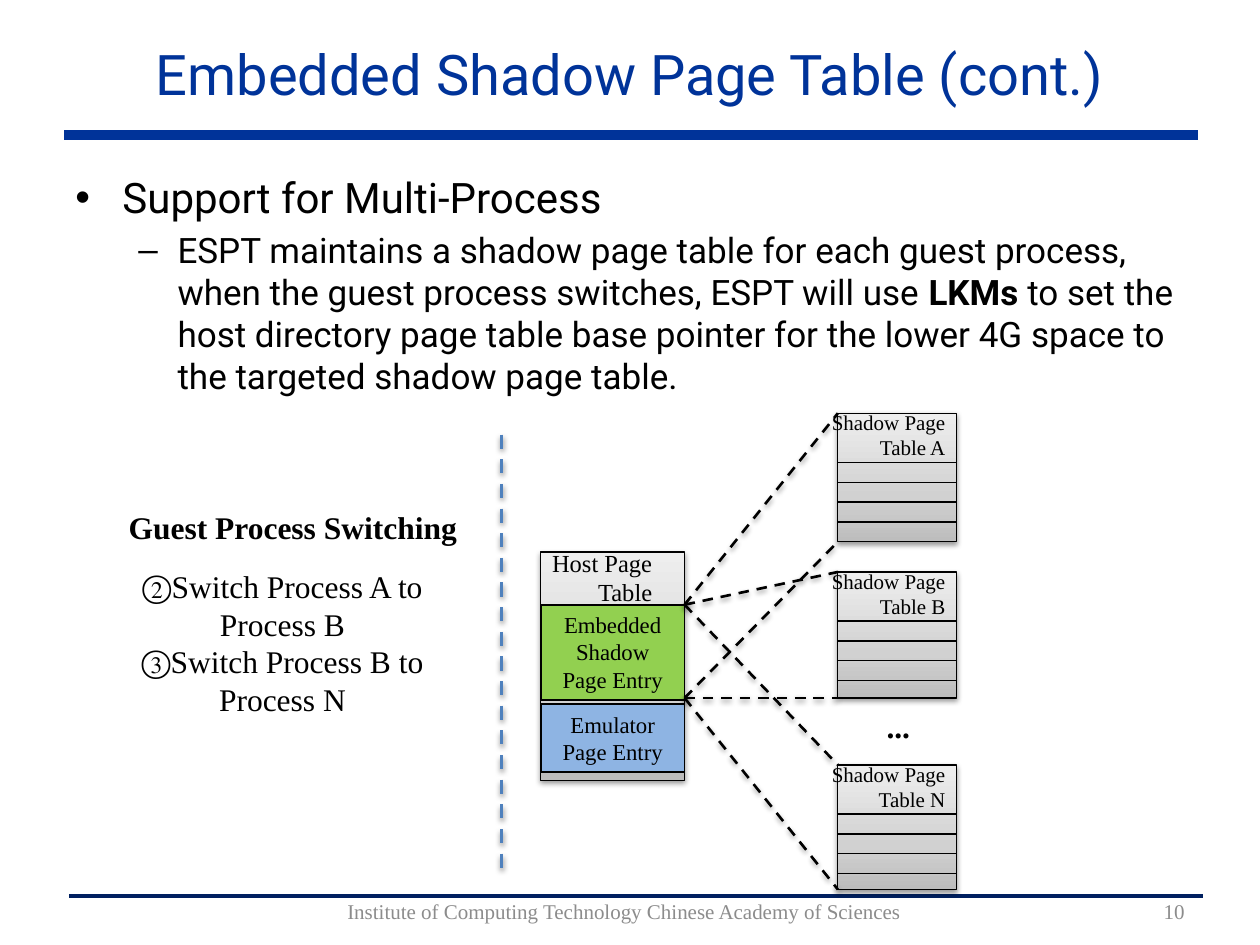
import copy

import lxml.etree
import pptx
import pptx.dml.color
import pptx.enum.dml
import pptx.enum.shapes
import pptx.enum.text
import pptx.oxml.ns
import pptx.util

Cm, Pt = pptx.util.Cm, pptx.util.Pt
ALIGN = pptx.enum.text.PP_ALIGN
ANCHOR = pptx.enum.text.MSO_ANCHOR
qn = pptx.oxml.ns.qn

COLORS = {
    "black": "000000", "title": "003399", "navy": "002060", "gray": "8C8C8C",
    "green": "92D050", "blue": "8EB4E3", "divider": "4F81BD",
}
METAL = [(0, "BDBDBD"), (0.35, "D1D1D1"), (1, "EEEEEE")]


def rgb(name):
    """Return the colour for a palette name or a hex string."""
    return pptx.dml.color.RGBColor.from_string(COLORS.get(name, name))


class SlideBuilder:
    """Hold the style and the current slide, and add elements to it."""

    serif, sans = "Times New Roman", "Roboto"

    def __init__(self, slide):
        """Keep the slide to build on."""
        self.slide = slide

    def add_spans(self, para, text, size, color="black", font=None, align=ALIGN.CENTER):
        """Fill a paragraph, with the parts between asterisks in bold."""
        para.alignment = align
        for index, part in enumerate(text.split("*")):
            if part:
                span = para.add_run()
                span.text = part
                look = {"name": font or self.serif, "size": Pt(size), "bold": index % 2 == 1}
                for key, value in look.items():
                    setattr(span.font, key, value)
                span.font.color.rgb = rgb(color)

    def title(self, text, left, top, width, height):
        """Move the title placeholder and set its text."""
        box = self.slide.shapes.title
        place = {"left": left, "top": top, "width": width, "height": height}
        for key, value in place.items():
            setattr(box, key, Cm(value))
        box.text_frame.vertical_anchor = ANCHOR.MIDDLE
        self.add_spans(box.text_frame.paragraphs[0], text, 32, "title", self.sans)

    def text(self, texts, left, top, width, height, size, anchor=ANCHOR.TOP, insets=None, **style):
        """Add a wrapped text box with one paragraph for each text."""
        box = self.slide.shapes.add_textbox(Cm(left), Cm(top), Cm(width), Cm(height))
        frame = box.text_frame
        settings = {"word_wrap": True, "vertical_anchor": anchor, **(insets or {})}
        for key, value in settings.items():
            setattr(frame, key, value)
        for index, text in enumerate(texts):
            para = frame.add_paragraph() if index else frame.paragraphs[0]
            self.add_spans(para, text, size, **style)

    def label(self, text, left, top, width, height, size):
        """Add a table heading that is set flush right and wraps by itself."""
        insets = {"margin_left": 0, "margin_right": Cm(0.65)}
        self.text([text], left, top, width, height, size, insets=insets, align=ALIGN.RIGHT)

    def bullets(self, items, left, top, width, height):
        """Add a bulleted list of (text, size, mark, margin, hanging) items."""
        box = self.slide.shapes.add_textbox(Cm(left), Cm(top), Cm(width), Cm(height))
        box.text_frame.word_wrap = True
        for level, (text, size, mark, margin, hanging) in enumerate(items):
            para = box.text_frame.add_paragraph() if level else box.text_frame.paragraphs[0]
            para.level = level
            para.space_before = Pt(size * 0.2)
            self.add_spans(para, text, size, font=self.sans, align=ALIGN.LEFT)
            properties = para._p.get_or_add_pPr()
            properties.set("marL", str(Cm(margin)))
            properties.set("indent", str(-Cm(hanging)))
            lxml.etree.SubElement(properties, qn("a:buFont"), typeface="Arial")
            lxml.etree.SubElement(properties, qn("a:buChar"), char=mark)

    def effects(self, element, shadow):
        """Replace the theme shadow by a soft one or by none."""
        properties = element.spPr
        effect = properties.find(qn("a:effectLst"))
        if effect is None:
            effect = lxml.etree.SubElement(properties, qn("a:effectLst"))
        if shadow:
            outer = lxml.etree.SubElement(
                effect, qn("a:outerShdw"), blurRad=str(Pt(3.1)), dist=str(Pt(1.6)),
                dir="5400000", rotWithShape="0")
            color = lxml.etree.SubElement(outer, qn("a:srgbClr"), val=COLORS["black"])
            lxml.etree.SubElement(color, qn("a:alpha"), val="38000")

    def rectangle(self, left, top, width, height, fill=None, text=None):
        """Add a flat box with text, or a shaded one when no fill is given."""
        box = self.slide.shapes.add_shape(
            pptx.enum.shapes.MSO_SHAPE.RECTANGLE, Cm(left), Cm(top), Cm(width), Cm(height))
        box.line.color.rgb = rgb("black")
        box.line.width = Pt(1 if fill else 0.75)
        box.shadow.inherit = False
        if fill:
            box.fill.solid()
            box.fill.fore_color.rgb = rgb(fill)
        else:
            box.fill.gradient()
            box.fill.gradient_angle = 90
            stops = box.element.spPr.find(".//" + qn("a:gsLst"))
            stops.insert(1, copy.deepcopy(stops[0]))
            for stop, (position, color) in zip(box.fill.gradient_stops, METAL):
                stop.position = position
                stop.color.rgb = rgb(color)
            self.effects(box.element, True)
        if text:
            box.text_frame.word_wrap = True
            box.text_frame.vertical_anchor = ANCHOR.TOP
            self.add_spans(box.text_frame.paragraphs[0], text, 13)

    def line(self, start, end, width=0.75, color="black", dashed=False):
        """Add a straight line, with a soft shadow when it is dashed."""
        line = self.slide.shapes.add_connector(
            pptx.enum.shapes.MSO_CONNECTOR.STRAIGHT, *map(Cm, (*start, *end)))
        line.line.color.rgb = rgb(color)
        line.line.width = Pt(width)
        if dashed:
            line.line.dash_style = pptx.enum.dml.MSO_LINE.DASH
        self.effects(line.element, dashed)

    def shadow_table(self, name, left, top, width, height):
        """Add a shadow page table with its heading and row lines."""
        self.rectangle(left, top, width, height)
        self.label(f"Shadow Page Table {name}", left - 0.38, top - 0.2, 3.2, 1.27, 12)
        for row in range(4):
            level = top + 0.99 + 0.4 * row
            self.line((left, level), (left + width, level))


def main():
    """Build the deck and save it."""
    deck = pptx.Presentation()
    deck.slide_width, deck.slide_height = Cm(25.4), Cm(19.05)
    page = SlideBuilder(deck.slides.add_slide(deck.slide_layouts[5]))

    page.line((1.4, 18.06), (24.26, 18.06), 2.25, "navy")
    page.line((1.3, 2.72), (24.16, 2.72), 6, "title")
    page.title("Embedded Shadow Page Table (cont.)", 1.27, 0.41, 22.86, 2.13)
    page.bullets([
        ("Support for Multi-Process", 24, "•", 0.95, 0.95),
        ("ESPT maintains a shadow page table for each guest process, when the guest process "
         "switches, ESPT will use *LKMs* to set the host directory page table base pointer "
         "for the lower 4G space to the targeted shadow page table.", 20, "–", 2.06, 0.79),
    ], 1.27, 3.33, 22.86, 4.8)
    footer = {"size": 12, "color": "gray", "anchor": ANCHOR.MIDDLE}
    page.text(["Institute of Computing Technology Chinese Academy of Sciences"],
              4.09, 18.06, 16.99, 0.61, **footer)
    page.text(["10"], 21.11, 18.06, 3.02, 0.61, align=ALIGN.RIGHT, **footer)

    page.text(["*Guest Process Switching*"], 2.11, 10.11, 7.59, 1.02, 18)
    page.text(["②Switch Process A to Process B", "③Switch Process B to Process N"],
              1.9, 11.3, 7.59, 3.33, 18)
    page.line((10.11, 8.76), (10.11, 17.6), 2, "divider", True)

    host_left, host_width = 10.9, 2.9
    entry_top, entry_bottom = 12.19, 14.07
    page.rectangle(host_left, 11.13, host_width, 4.6)
    page.label("Host Page Table", host_left, 10.92, host_width, 1.65, 14)
    page.rectangle(host_left, 14.2, host_width, 1.37, "blue", "Emulator Page Entry")
    page.rectangle(host_left, entry_top, host_width, 1.93, "green", "Embedded Shadow Page Entry")

    host_right, table_left = host_left + host_width, 16.89
    for name, top, height in (("A", 8.33, 2.59), ("B", 11.53, 2.54), ("N", 15.42, 2.51)):
        page.shadow_table(name, table_left, top, 2.4, height)
        for start, end in ((entry_top, top), (entry_bottom, top + height)):
            page.line((host_right, start), (table_left, end), 1.5, dashed=True)
    page.text(["*...*"], 16.51, 14.12, 3.2, 1.02, 18)

    deck.save("out.pptx")


if __name__ == "__main__":
    main()
